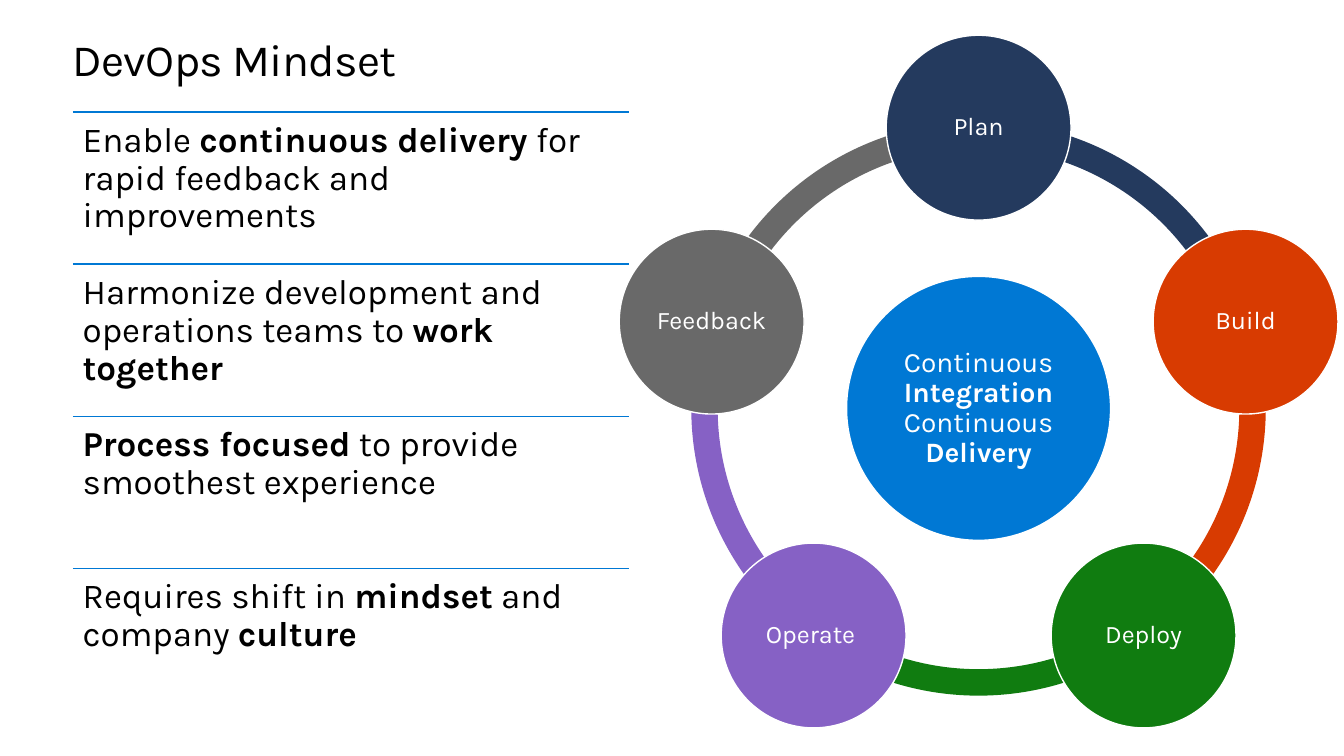
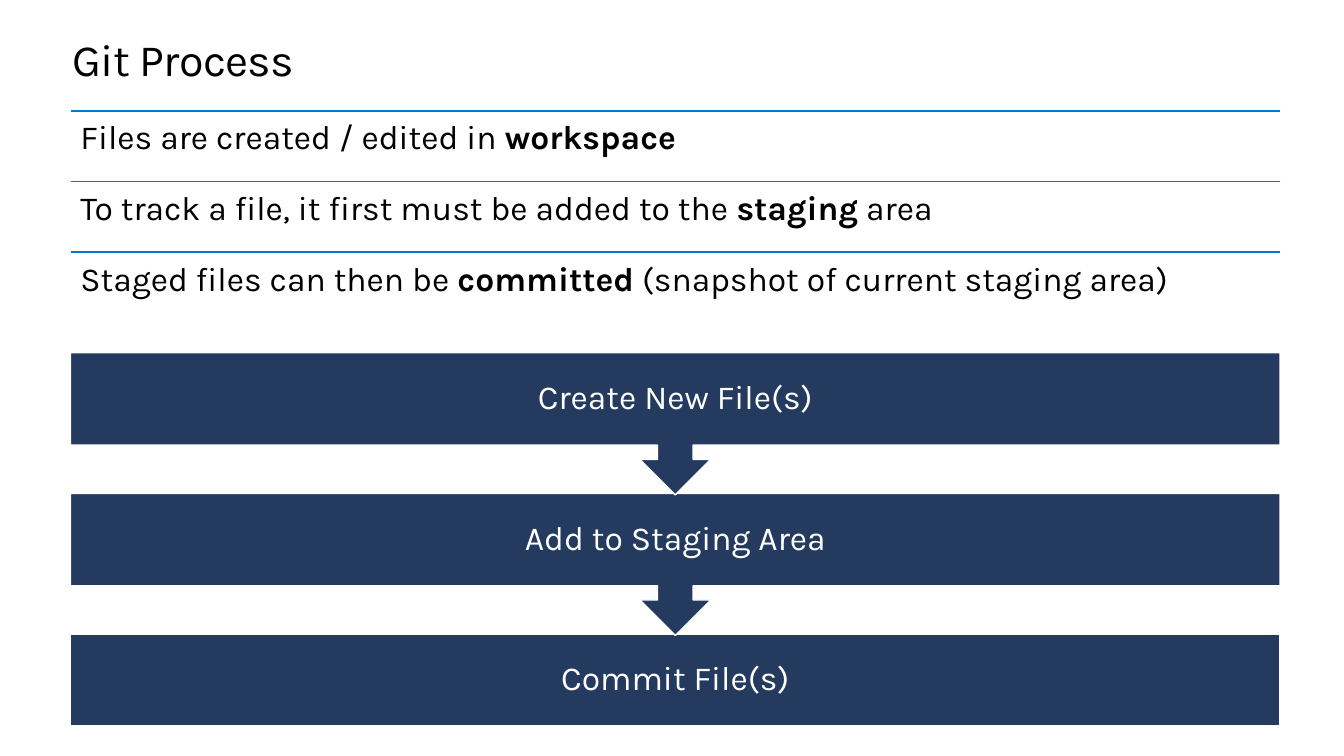
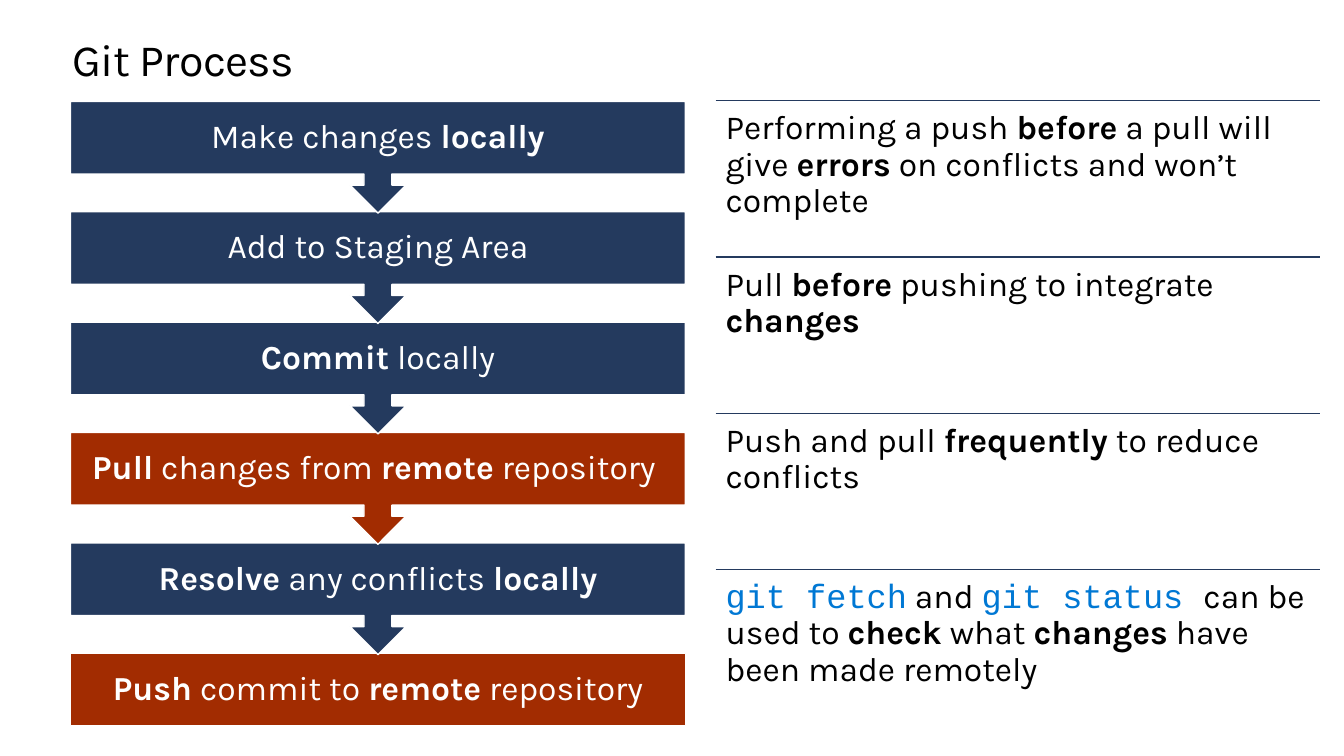
from math import cos, radians, sin

from lxml import etree
from pptx import Presentation
from pptx.dml.color import RGBColor
from pptx.enum import shapes, text
from pptx.util import Pt

FONT, CODE_FONT = "Karla", "Courier New"
BLACK, WHITE, BLUE, NAVY, RUST = "000000", "FFFFFF", "0078D4", "243A5E", "A22C01"
ORANGE, GREEN, PURPLE, GRAY = "D83B01", "107C10", "8661C5", "696969"
SHAPE = shapes.MSO_SHAPE
MIDDLE = {"vertical_anchor": text.MSO_ANCHOR.MIDDLE}
CENTER = text.PP_ALIGN.CENTER

# In all wording, *...* is bold and `...` is code.
MINDSET = [
    "Enable *continuous delivery *for rapid feedback and improvements",
    "Harmonize development and operations teams to *work together*",
    "*Process focused* to provide smoothest experience",
    "Requires shift in *mindset* and company *culture*",
]
CYCLE_CORE = "Continuous *Integration*\nContinuous *Delivery*"
CYCLE = [("Plan", NAVY), ("Build", ORANGE), ("Deploy", GREEN),
         ("Operate ", PURPLE), ("Feedback", GRAY)]

STAGES = [
    "Files are created / edited in *workspace*",
    "To track a file, it first must be added to the *staging* area",
    "Staged files can then be *committed* (snapshot of current staging area)",
]
LOCAL_STEPS = [("Create New File(s)", NAVY), ("Add to Staging Area", NAVY),
               ("Commit File(s)", NAVY)]

REMOTE_STEPS = [
    ("Make changes *locally*", NAVY),
    ("Add to Staging Area", NAVY),
    ("*Commit* locally", NAVY),
    ("*Pull* changes from *remote* repository ", RUST),
    ("*Resolve* any conflicts *locally*", NAVY),
    ("*Push* commit to *remote* repository", RUST),
]
ADVICE = [
    "Performing a push *before* a pull will give *errors* on conflicts and won’t complete",
    "Pull *before* pushing to integrate *changes*",
    "Push and pull *frequently* to reduce conflicts",
    "`git fetch` and `git status `can be used to *check* what *changes* have been made remotely",
]


def color(value):
    return RGBColor.from_string(value)


def assign(target, values):
    for name, value in values.items():
        setattr(target, name, value)


def write(shape, wording, size, ink, inset, align=text.PP_ALIGN.LEFT, **frame_values):
    """Fill a shape with one paragraph of marked-up wording."""
    frame = shape.text_frame
    sides = ("margin_left", "margin_top", "margin_right", "margin_bottom")
    assign(frame, {"word_wrap": True, **dict.fromkeys(sides, Pt(inset)), **frame_values})
    para = frame.paragraphs[0]
    assign(para, {"alignment": align, "line_spacing": 0.9})
    for number, line in enumerate(wording.split("\n")):
        if number:
            para.add_line_break()
        for b, part in enumerate(line.split("*")):
            for c, piece in enumerate(part.split("`")):
                if piece:
                    span = para.add_run()
                    span.text = piece
                    is_code = c % 2 == 1
                    assign(span.font, {"name": CODE_FONT if is_code else FONT,
                                       "size": Pt(size), "bold": b % 2 == 1})
                    span.font.color.rgb = color(BLUE if is_code else ink)
    return para


def add_page(deck, title):
    page = deck.slides.add_slide(deck.slide_layouts[5])
    box = page.shapes.title
    assign(box, {"left": Pt(52), "top": Pt(25), "width": Pt(857), "height": Pt(36.2)})
    box.fill.solid()
    box.fill.fore_color.rgb = color(WHITE)
    para = write(box, title, 32, BLACK, 0, vertical_anchor=text.MSO_ANCHOR.TOP,
                 auto_size=text.MSO_AUTO_SIZE.SHAPE_TO_FIT_TEXT)
    para.line_spacing = Pt(36.2)
    para.runs[0].font._element.set("spc", "-50")
    return page


def add_filled(page, kind, left, top, width, height, fill, outlined=True):
    shape = page.shapes.add_shape(kind, Pt(left), Pt(top), Pt(width), Pt(height))
    shape.shadow.inherit = False
    shape.fill.solid()
    shape.fill.fore_color.rgb = color(fill)
    if outlined:
        shape.line.color.rgb = color(WHITE)
        shape.line.width = Pt(1)
    else:
        shape.line.fill.background()
    return shape


def add_ruled_list(page, items, left, top, width, row_height, size, rule_color):
    """Stack text rows, each under a thin rule."""
    for row, item in enumerate(items):
        y = top + row * row_height
        rule = page.shapes.add_connector(shapes.MSO_CONNECTOR.STRAIGHT,
                                         Pt(left), Pt(y), Pt(left + width), Pt(y))
        rule.line.color.rgb = color(rule_color)
        rule.line.width = Pt(1)
        properties = rule._element.spPr
        etree.SubElement(properties, properties.tag.split("}")[0].replace(
            "presentationml", "drawingml").replace("2006/main", "2006/main") + "}effectLst")
        box = page.shapes.add_textbox(Pt(left), Pt(y), Pt(width), Pt(row_height))
        write(box, item, size, BLACK, 7.2)


def add_steps(page, steps, left, top, width, bar_height):
    """Stack bars down to the foot of the page; all but the last end in an arrow."""
    foot, last = 518.4, len(steps) - 1
    pitch = (foot - top - bar_height) / last
    for row in range(last, -1, -1):
        wording, fill = steps[row]
        kind, height = ((SHAPE.RECTANGLE, bar_height) if row == last
                        else (SHAPE.DOWN_ARROW_CALLOUT, pitch + 1))
        bar = add_filled(page, kind, left, top + row * pitch, width, height, fill)
        write(bar, wording, 24, WHITE, 13.5, CENTER, **MIDDLE)


def add_disc(page, x, y, diameter, fill, wording, size):
    disc = add_filled(page, SHAPE.OVAL, x - diameter / 2, y - diameter / 2,
                      diameter, diameter, fill)
    write(disc, wording, size, WHITE, 2, CENTER, **MIDDLE)


def add_cycle(page, x, y):
    ring, orbit = 410.4, 200.5
    turn = 360 / len(CYCLE)
    angles = [(270 + turn * place) % 360 for place in range(len(CYCLE))]
    for angle, (_, fill) in reversed(list(zip(angles, CYCLE))):
        arc = add_filled(page, SHAPE.BLOCK_ARC, x - ring / 2, y - ring / 2,
                         ring, ring, fill, outlined=False)
        # Angles are stored in 60000ths of a degree, adjustments in 100000ths.
        for index, value in enumerate((angle * 0.6, (angle + turn) % 360 * 0.6, 0.046)):
            arc.adjustments[index] = value
    add_disc(page, x, y, 188.6, BLUE, CYCLE_CORE, 20)
    for angle, (wording, fill) in zip(angles, CYCLE):
        add_disc(page, x + orbit * cos(radians(angle)), y + orbit * sin(radians(angle)),
                 132, fill, wording, 18)


def main():
    deck = Presentation()
    assign(deck, {"slide_width": Pt(960), "slide_height": Pt(540)})

    page = add_page(deck, "DevOps Mindset")
    add_ruled_list(page, MINDSET, 52, 80, 397.4, 108.7, 25, BLUE)
    add_cycle(page, 699, 291.7)

    page = add_page(deck, "Git Process")
    add_ruled_list(page, STAGES, 50.4, 79.2, 864, 50.4, 24, BLUE)
    add_steps(page, LOCAL_STEPS, 50.4, 252, 864, 65.5)

    page = add_page(deck, "Git Process")
    add_steps(page, REMOTE_STEPS, 50.4, 72.4, 439.2, 51.8)
    add_ruled_list(page, ADVICE, 511.2, 72, 432, 111.6, 24, NAVY)

    deck.save("out.pptx")


if __name__ == "__main__":
    main()
